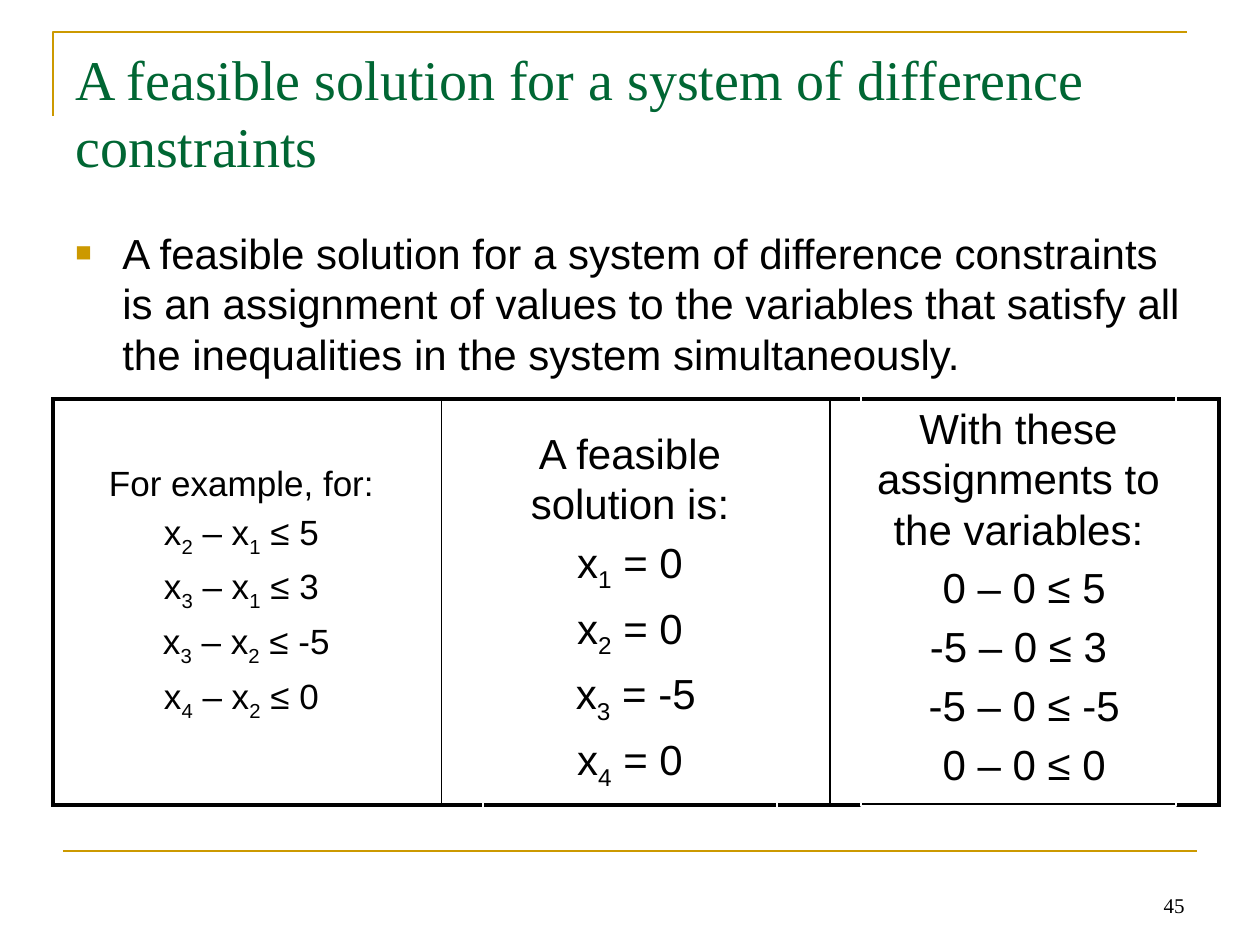
from dataclasses import dataclass

from lxml import etree
from pptx import Presentation
from pptx import util as u
from pptx.dml.color import RGBColor
from pptx.enum import shapes, text
from pptx.oxml import ns

PX = 914400 // 126
COLORS = {"gold": "CC9900", "green": "006633", "black": "000000", "white": "FFFFFF"}
SANS, SERIF = "Arial", "Times New Roman"
THIN, THICK = 1, 2.25


@dataclass(frozen=True)
class Box:
    left: int
    top: int
    width: int
    height: int

    def emu(self) -> tuple:
        return tuple(side * PX for side in (self.left, self.top, self.width, self.height))


@dataclass(frozen=True)
class Panel:
    box: Box
    size: int
    lines: tuple
    outlined: bool = True


PANELS = (
    Panel(Box(483, 421, 294, 410), 24,
          ("A feasible solution is:", "x_1 = 0", "x_2 = 0", " x_3 = -5", "x_4 = 0")),
    Panel(Box(861, 396, 315, 410), 24,
          ("With these assignments to the variables:",
           " 0 – 0 ≤ 5", "-5 – 0 ≤ 3", " -5 – 0 ≤ -5", " 0 – 0 ≤ 0")),
    Panel(Box(84, 455, 315, 258), 20,
          ("For example, for:", "x_2 – x_1 ≤ 5", "x_3 – x_1 ≤ 3",
           " x_3 – x_2 ≤ -5", "x_4 – x_2 ≤ 0"), outlined=False),
)


def rgb(name: str) -> RGBColor:
    return RGBColor.from_string(COLORS[name])


def add_child(parent, tag: str, **attributes: str):
    return etree.SubElement(parent, ns.qn(tag), attributes)


def add_run(paragraph, words: str, *, size: int, font: str, color: str,
            subscript: bool = False) -> None:
    run = paragraph.add_run()
    run.text = words
    run.font.size = u.Pt(size)
    run.font.name = font
    run.font.color.rgb = rgb(color)
    if subscript:
        run._r.get_or_add_rPr().set("baseline", "-25000")


def write_text(shape, lines: tuple, *, size: int, font: str = SANS, color: str = "black",
               align=text.PP_ALIGN.LEFT, anchor=text.MSO_ANCHOR.TOP,
               bullet: bool = False) -> None:
    frame = shape.text_frame
    frame.word_wrap = True
    frame.vertical_anchor = anchor
    style = dict(size=size, font=font, color=color)
    for index, line in enumerate(lines):
        paragraph = frame.paragraphs[0] if index == 0 else frame.add_paragraph()
        paragraph.alignment = align
        if index:
            paragraph.space_before = u.Pt(size * 0.2)
        if bullet:
            add_bullet(paragraph)
        plain, *subscripted = line.split("_")
        add_run(paragraph, plain, **style)
        for piece in subscripted:
            add_run(paragraph, piece[0], subscript=True, **style)
            add_run(paragraph, piece[1:], **style)


def add_bullet(paragraph) -> None:
    properties = paragraph._p.get_or_add_pPr()
    indent = 47 * PX
    properties.set("marL", str(indent))
    properties.set("indent", str(-indent))
    add_child(add_child(properties, "a:buClr"), "a:srgbClr", val=COLORS["gold"])
    add_child(properties, "a:buSzPct", val="65000")
    add_child(properties, "a:buFont", typeface=SANS)
    add_child(properties, "a:buChar", char="■")


def add_text(slide, box: Box, words: str, **style) -> None:
    write_text(slide.shapes.add_textbox(*box.emu()), (words,), **style)


def add_panel(slide, panel: Panel) -> None:
    if panel.outlined:
        shape = slide.shapes.add_shape(shapes.MSO_SHAPE.RECTANGLE, *panel.box.emu())
        shape.shadow.inherit = False
        shape.fill.background()
        shape.line.color.rgb = rgb("white")
        shape.line.width = u.Pt(0.75)
    else:
        shape = slide.shapes.add_textbox(*panel.box.emu())
    write_text(shape, panel.lines, size=panel.size, align=text.PP_ALIGN.CENTER)


def style_rule(shape) -> None:
    shape.line.color.rgb = rgb("gold")
    shape.line.width = u.Pt(1.5)


def add_rules(slide) -> None:
    builder = slide.shapes.build_freeform(53, 116, scale=PX)
    builder.add_line_segments([(53, 32), (1187, 32)], close=False)
    corner = builder.convert_to_shape()
    corner.shadow.inherit = False
    corner.fill.background()
    style_rule(corner)
    footer = slide.shapes.add_connector(
        shapes.MSO_CONNECTOR.STRAIGHT, 63 * PX, 851 * PX, 1197 * PX, 851 * PX)
    style_rule(footer)
    add_child(footer._element.spPr, "a:effectLst")


def set_border(cell, side: str, width: float) -> None:
    properties = cell._tc.get_or_add_tcPr()
    line = add_child(properties, f"a:ln{side}", w=str(u.Pt(width)))
    add_child(add_child(line, "a:solidFill"), "a:srgbClr", val=COLORS["black"])


def add_frame_table(slide, box: Box, columns: int) -> None:
    table = slide.shapes.add_table(1, columns, *box.emu()).table
    table.first_row = False
    table.horz_banding = False
    for index in range(columns):
        cell = table.cell(0, index)
        set_border(cell, "L", THICK if index == 0 else THIN)
        set_border(cell, "R", THICK if index == columns - 1 else THIN)
        set_border(cell, "T", THICK)
        set_border(cell, "B", THICK)
        cell.fill.background()


def main() -> None:
    presentation = Presentation()
    presentation.slide_width = 1260 * PX
    presentation.slide_height = 945 * PX
    slide = presentation.slides.add_slide(presentation.slide_layouts[6])
    add_rules(slide)
    add_text(slide, Box(903, 861, 294, 63), "45", size=12, font=SERIF,
             align=text.PP_ALIGN.RIGHT, anchor=text.MSO_ANCHOR.BOTTOM)
    add_text(slide, Box(63, 38, 1134, 158),
             "A feasible solution for a system of difference constraints",
             size=32, font=SERIF, color="green")
    add_text(slide, Box(63, 221, 1134, 624),
             "A feasible solution for a system of difference constraints is an assignment "
             "of values to the variables that satisfy all the inequalities in the system "
             "simultaneously.", size=24, bullet=True)
    add_frame_table(slide, Box(53, 399, 1166, 406), 3)
    for panel in PANELS:
        add_panel(slide, panel)
    presentation.save("out.pptx")


if __name__ == "__main__":
    main()
